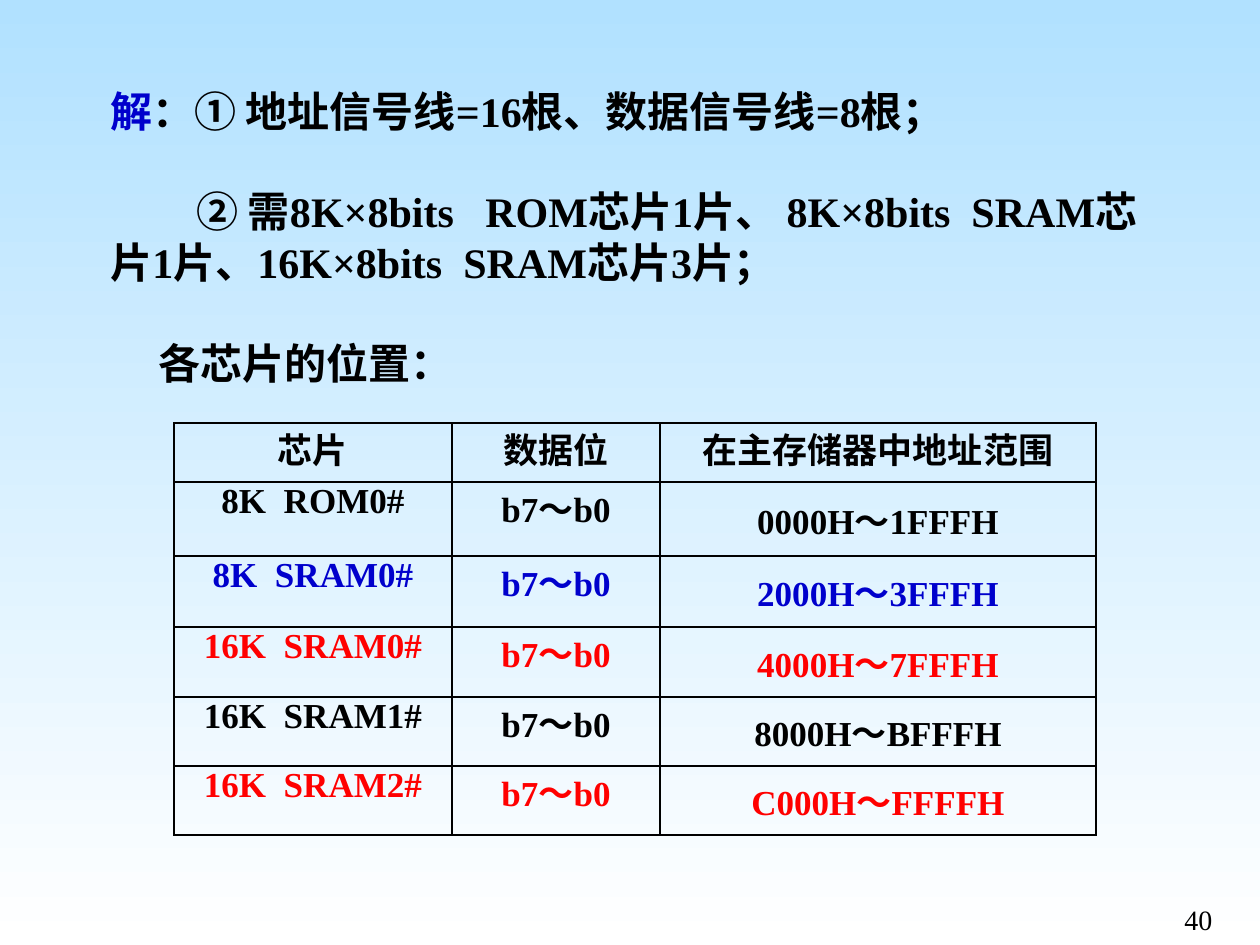
"""Builds the memory chip address slide with its table."""
from lxml import etree
from pptx import Presentation
from pptx import util as u
from pptx.dml.color import RGBColor
from pptx.enum import text
from pptx.oxml.ns import qn

PX = 914400 // 126
FONT = "Times New Roman"
BLACK = RGBColor(0x00, 0x00, 0x00)
BLUE = RGBColor(0x00, 0x00, 0xCC)
RED = RGBColor(0xFF, 0x00, 0x00)
SKY = RGBColor(0xB1, 0xE1, 0xFF)
WHITE = RGBColor(0xFF, 0xFF, 0xFF)


def set_font(font, size, color, bold):
    font.name = FONT
    font.size = u.Pt(size)
    font.color.rgb = color
    font.bold = bold


def add_border(cell, side):
    ln = etree.SubElement(cell._tc.get_or_add_tcPr(), qn("a:" + side), w="12700")
    fill = etree.SubElement(ln, qn("a:solidFill"))
    etree.SubElement(fill, qn("a:srgbClr"), val=str(BLACK))


prs = Presentation()
prs.slide_width, prs.slide_height = u.Inches(10), u.Inches(7.5)
s = prs.slides.add_slide(prs.slide_layouts[6])

bg = s.background.fill
bg.gradient()
bg.gradient_angle = 270
for stop, color, position in zip(bg.gradient_stops, (SKY, WHITE), (0, 1)):
    stop.color.rgb = color
    stop.position = position

answer = s.shapes.add_textbox(98 * PX, 79 * PX, 1067 * PX, 317 * PX)
tf = answer.text_frame
tf.word_wrap = True
PARAGRAPHS = [
    (0, ["解", "：① 地址信号线=16根、数据信号线=8根；"]),
    (86, ["② 需8K×8bits   ROM芯片1片、 8K×8bits  SRAM芯片1片、16K×8bits  SRAM芯片3片；"]),
    (48, ["各芯片的位置："]),
]
for i, (indent, runs) in enumerate(PARAGRAPHS):
    p = tf.paragraphs[0] if i == 0 else tf.add_paragraph()
    set_font(p.font, 24, BLACK, True)
    p.line_spacing = u.Pt(28.8)
    p.space_before = u.Pt(28.8 if i else 0)
    p._p.get_or_add_pPr().set("indent", str(indent * PX))
    for words in runs:
        r = p.add_run()
        r.text = words
        set_font(r.font, 24, BLUE if words == "解" else BLACK, True)

ROWS = [
    (59, BLACK, "芯片", "数据位", "在主存储器中地址范围"),
    (74, BLACK, "8K  ROM0#", "b7～b0", "0000H～1FFFH"),
    (71, BLUE, "8K  SRAM0#", "b7～b0", "2000H～3FFFH"),
    (70, RED, "16K  SRAM0#", "b7～b0", "4000H～7FFFH"),
    (69, BLACK, "16K  SRAM1#", "b7～b0", "8000H～BFFFH"),
    (69, RED, "16K  SRAM2#", "b7～b0", "C000H～FFFFH"),
]
COLUMNS = [278, 208, 436]
height = sum(row[0] for row in ROWS)
frame = s.shapes.add_table(len(ROWS), len(COLUMNS), 174 * PX, 423 * PX,
                           sum(COLUMNS) * PX, height * PX)
table = frame.table
table.first_row = table.horz_banding = False
for column, width in zip(table.columns, COLUMNS):
    column.width = width * PX
for i, (row_height, color, *values) in enumerate(ROWS):
    table.rows[i].height = row_height * PX
    for j, value in enumerate(values):
        cell = table.cell(i, j)
        cell.text = value
        cell.margin_left = cell.margin_right = 9 * PX
        cell.margin_top = cell.margin_bottom = 0
        if i and j == 2:
            cell.vertical_anchor = text.MSO_ANCHOR.MIDDLE
        p = cell.text_frame.paragraphs[0]
        p.alignment = text.PP_ALIGN.CENTER
        set_font(p.font, 20, color, True)
        set_font(p.runs[0].font, 20, color, True)
        for side in ("lnL", "lnR", "lnT", "lnB"):
            add_border(cell, side)
        cell.fill.background()

number = s.shapes.add_textbox(1137 * PX, 900 * PX, 123 * PX, 39 * PX)
tf = number.text_frame
tf.word_wrap = False
tf.vertical_anchor = text.MSO_ANCHOR.MIDDLE
p = tf.paragraphs[0]
p.alignment = text.PP_ALIGN.CENTER
r = p.add_run()
r.text = "40"
set_font(r.font, 16, BLACK, False)

prs.save("out.pptx")
